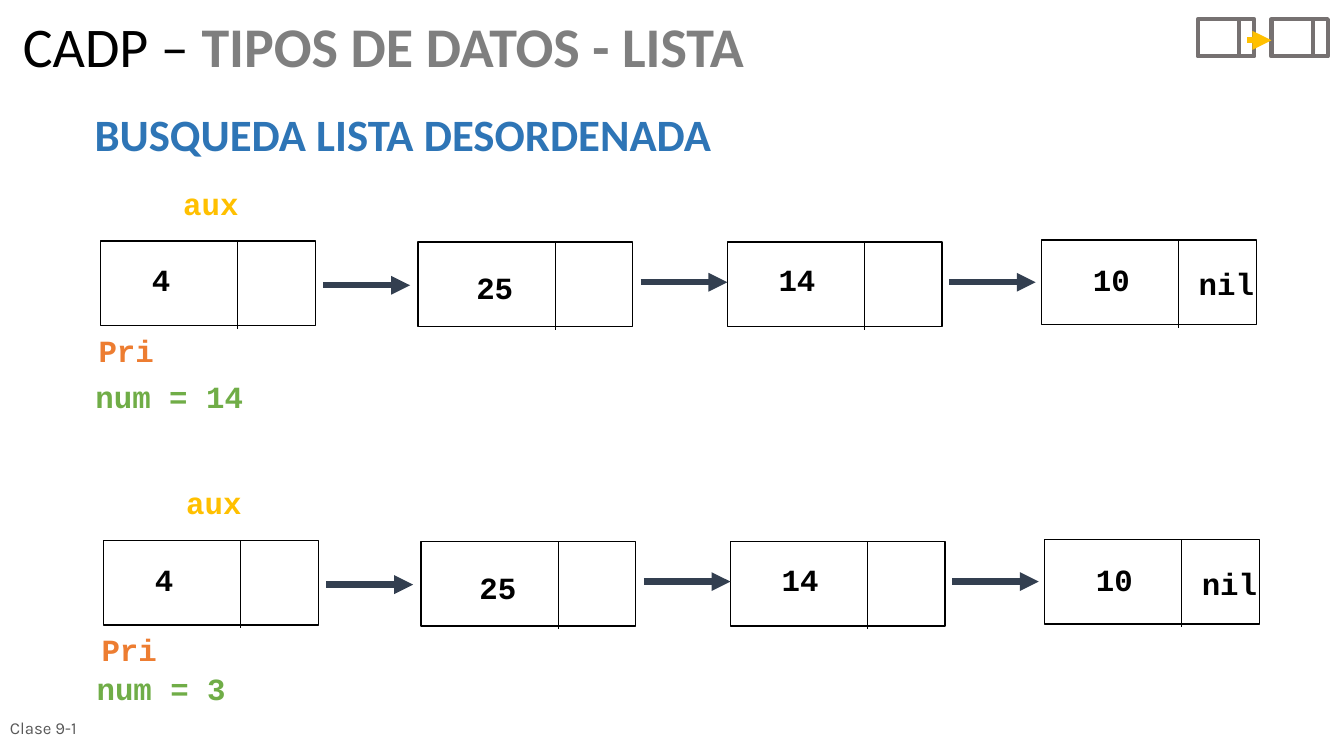
from dataclasses import dataclass
from typing import Optional

from lxml.etree import SubElement
from pptx import Presentation
from pptx.dml.color import RGBColor
from pptx.enum.shapes import MSO_CONNECTOR as Connector, MSO_SHAPE as Preset
from pptx.enum.text import MSO_ANCHOR as Anchor, MSO_AUTO_SIZE as AutoSize, PP_ALIGN as Align
from pptx.oxml.ns import qn
from pptx.shapes.shapetree import GroupShapes, SlideShapes
from pptx.slide import Slide
from pptx.text.text import TextFrame
from pptx.util import Emu, Pt

EMU_PER_PX = 9144


@dataclass(frozen=True)
class Theme:
    black: str = "000000"
    gray: str = "7F7F7F"
    footer_gray: str = "595959"
    icon_gray: str = "767171"
    blue: str = "2E75B6"
    gold: str = "FFC000"
    orange: str = "ED7D31"
    green: str = "70AD47"
    arrow: str = "333F50"
    sans: str = "Calibri"
    mono: str = "Courier New"
    footer_font: str = "Karla"
    title_size: int = 40
    heading_size: int = 32
    label_size: int = 22
    footer_size: int = 12


@dataclass(frozen=True)
class Node:
    value: str
    left: int
    top: int
    value_left: int
    value_top: int
    value_width: int


@dataclass(frozen=True)
class Arrow:
    left: int
    top: int


@dataclass(frozen=True)
class LinkedList:
    shift_x: int
    shift_y: int
    target: str
    target_left: int
    target_top: int


THEME = Theme()
NODES = (
    Node("4", 100, 239, 141, 254, 40),
    Node("25", 415, 240, 463, 262, 60),
    Node("14", 722, 240, 763, 254, 60),
    Node("10", 1034, 238, 1075, 254, 60),
)
ARROWS = (Arrow(321, 283), Arrow(636, 280), Arrow(942, 280))
LISTS = (
    LinkedList(0, 0, "num = 14", 81, 370),
    LinkedList(3, 297, "num = 3", 73, 659),
)
NODE_WIDTH, NODE_HEIGHT = 213, 84
DIVIDER_OFFSET, DIVIDER_HEIGHT = 136, 87
ARROW_LENGTH = 86
LABEL_HEIGHT = 47


def px(length: int) -> Emu:
    return Emu(length * EMU_PER_PX)


def add_text(slide: Slide, text: str, left: int, top: int, width: int, height: int, *,
             size: int, font: str, color: str, bold: bool = False, wrap: bool = True,
             grow: bool = False, align: Align = Align.LEFT, anchor: Anchor = Anchor.TOP,
             line_spacing: Optional[float] = None) -> TextFrame:
    box = slide.shapes.add_textbox(px(left), px(top), px(width), px(height))
    frame = box.text_frame
    frame.word_wrap = wrap
    frame.auto_size = AutoSize.SHAPE_TO_FIT_TEXT if grow else AutoSize.NONE
    frame.vertical_anchor = anchor
    paragraph = frame.paragraphs[0]
    paragraph.alignment = align
    paragraph.line_spacing = line_spacing
    add_run(frame, text, size=size, font=font, color=color, bold=bold)
    return frame


def add_run(frame: TextFrame, text: str, *, size: int, font: str, color: str,
            bold: bool = False) -> None:
    run = frame.paragraphs[0].add_run()
    run.text = text
    run.font.size = Pt(size)
    run.font.name = font
    run.font.bold = bold
    run.font.color.rgb = RGBColor.from_string(color)


def add_label(slide: Slide, text: str, left: int, top: int, width: int, *,
              color: str = THEME.black, wrap: bool = True,
              align: Align = Align.LEFT) -> None:
    add_text(slide, text, left, top, width, LABEL_HEIGHT, size=THEME.label_size,
             font=THEME.mono, color=color, bold=True, wrap=wrap, grow=True, align=align)


def add_line(shapes: SlideShapes | GroupShapes, left: int, top: int, right: int,
             bottom: int, *, color: str, weight: float, arrow: bool = False) -> None:
    connector = shapes.add_connector(Connector.STRAIGHT, px(left), px(top), px(right), px(bottom))
    connector.line.color.rgb = RGBColor.from_string(color)
    connector.line.width = Pt(weight)
    if arrow:
        SubElement(connector.line._get_or_add_ln(), qn("a:tailEnd"), type="triangle")
    SubElement(connector._element.spPr, qn("a:effectLst"))


def add_cell_pair(slide: Slide, left: int, top: int, width: int, height: int, *,
                  divider_offset: int, divider_height: int, color: str,
                  weight: float, divider_weight: float) -> None:
    group = slide.shapes.add_group_shape()
    frame = group.shapes.add_shape(Preset.RECTANGLE, px(left), px(top), px(width), px(height))
    frame.shadow.inherit = False
    frame.fill.background()
    frame.line.color.rgb = RGBColor.from_string(color)
    frame.line.width = Pt(weight)
    divider = left + divider_offset
    add_line(group.shapes, divider, top, divider, top + divider_height,
             color=color, weight=divider_weight)


def add_list_icon(slide: Slide) -> None:
    for left in (1189, 1262):
        add_cell_pair(slide, left, 19, 56, 37, divider_offset=41, divider_height=38,
                      color=THEME.icon_gray, weight=3, divider_weight=3)
    add_line(slide.shapes, 1238, 40, 1262, 40, color=THEME.gold, weight=4.5, arrow=True)


def add_linked_list(slide: Slide, linked_list: LinkedList) -> None:
    shift_x, shift_y = linked_list.shift_x, linked_list.shift_y
    for node in NODES:
        add_cell_pair(slide, node.left + shift_x, node.top + shift_y, NODE_WIDTH, NODE_HEIGHT,
                      divider_offset=DIVIDER_OFFSET, divider_height=DIVIDER_HEIGHT,
                      color=THEME.black, weight=1, divider_weight=0.5)
        add_label(slide, node.value, node.value_left + shift_x, node.value_top + shift_y,
                  node.value_width, wrap=False)
    for arrow in ARROWS:
        left, top = arrow.left + shift_x, arrow.top + shift_y
        add_line(slide.shapes, left, top, left + ARROW_LENGTH, top,
                 color=THEME.arrow, weight=4.5, arrow=True)
    add_label(slide, "nil", 1180 + shift_x, 258 + shift_y, 78, wrap=False)
    add_label(slide, "aux", 172 + shift_x, 178 + shift_y, 94, color=THEME.gold)
    add_label(slide, "Pri", 88 + shift_x, 324 + shift_y, 94, color=THEME.orange)
    add_label(slide, linked_list.target, linked_list.target_left, linked_list.target_top, 174,
              color=THEME.green, align=Align.CENTER)


def main() -> None:
    presentation = Presentation()
    presentation.slide_width, presentation.slide_height = px(1334), px(750)
    slide = presentation.slides.add_slide(presentation.slide_layouts[6])
    add_text(slide, "BUSQUEDA LISTA DESORDENADA", 84, 101, 654, 64, size=THEME.heading_size,
             font=THEME.sans, color=THEME.blue, bold=True, grow=True, align=Align.JUSTIFY)
    title = add_text(slide, "CADP – ", 13, 14, 874, 76, size=THEME.title_size,
                     font=THEME.sans, color=THEME.black, line_spacing=0.9)
    add_run(title, "TIPOS DE DATOS - LISTA", size=THEME.title_size, font=THEME.sans,
            color=THEME.gray, bold=True)
    add_list_icon(slide)
    for linked_list in LISTS:
        add_linked_list(slide, linked_list)
    add_text(slide, "Clase 9-1", 0, 702, 233, 40, size=THEME.footer_size,
             font=THEME.footer_font, color=THEME.footer_gray, anchor=Anchor.MIDDLE)
    presentation.save("out.pptx")


if __name__ == "__main__":
    main()
